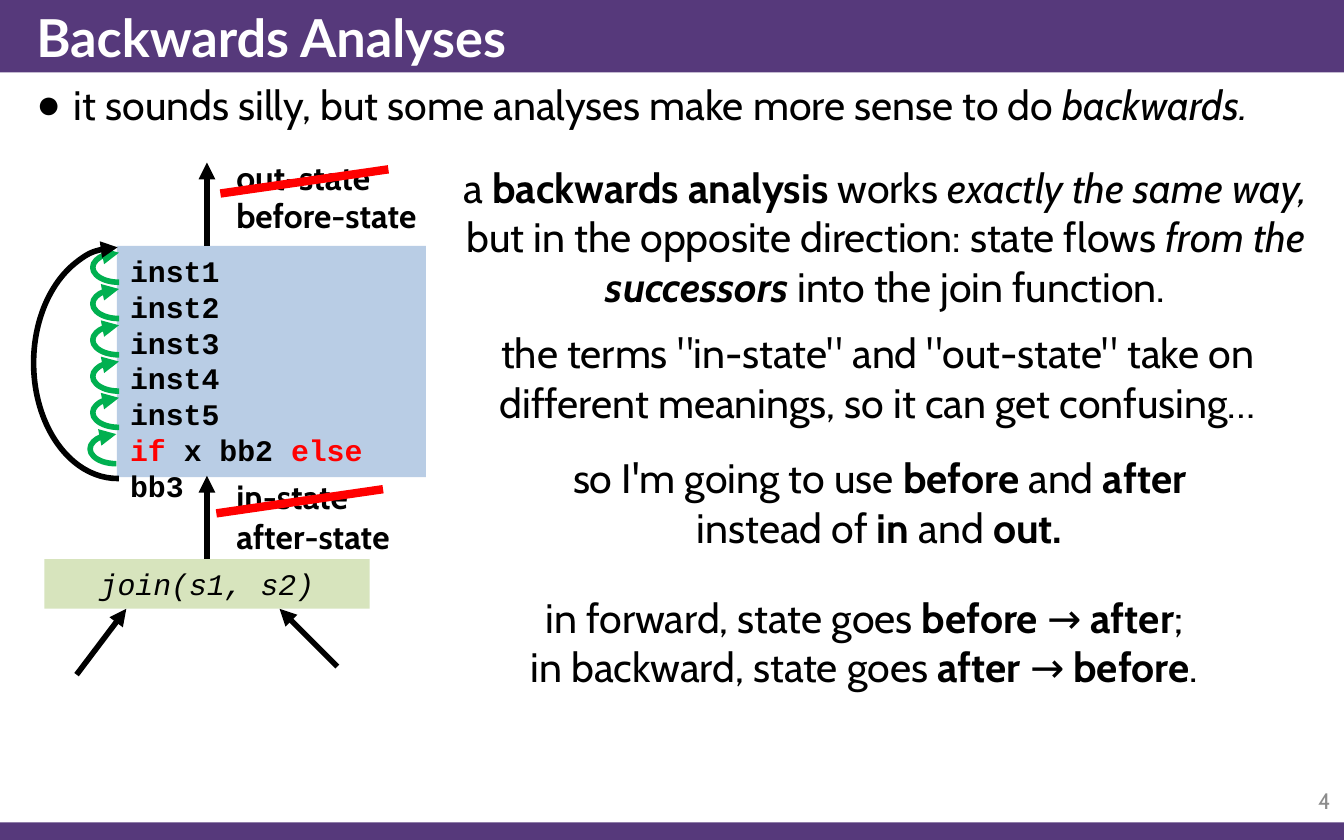
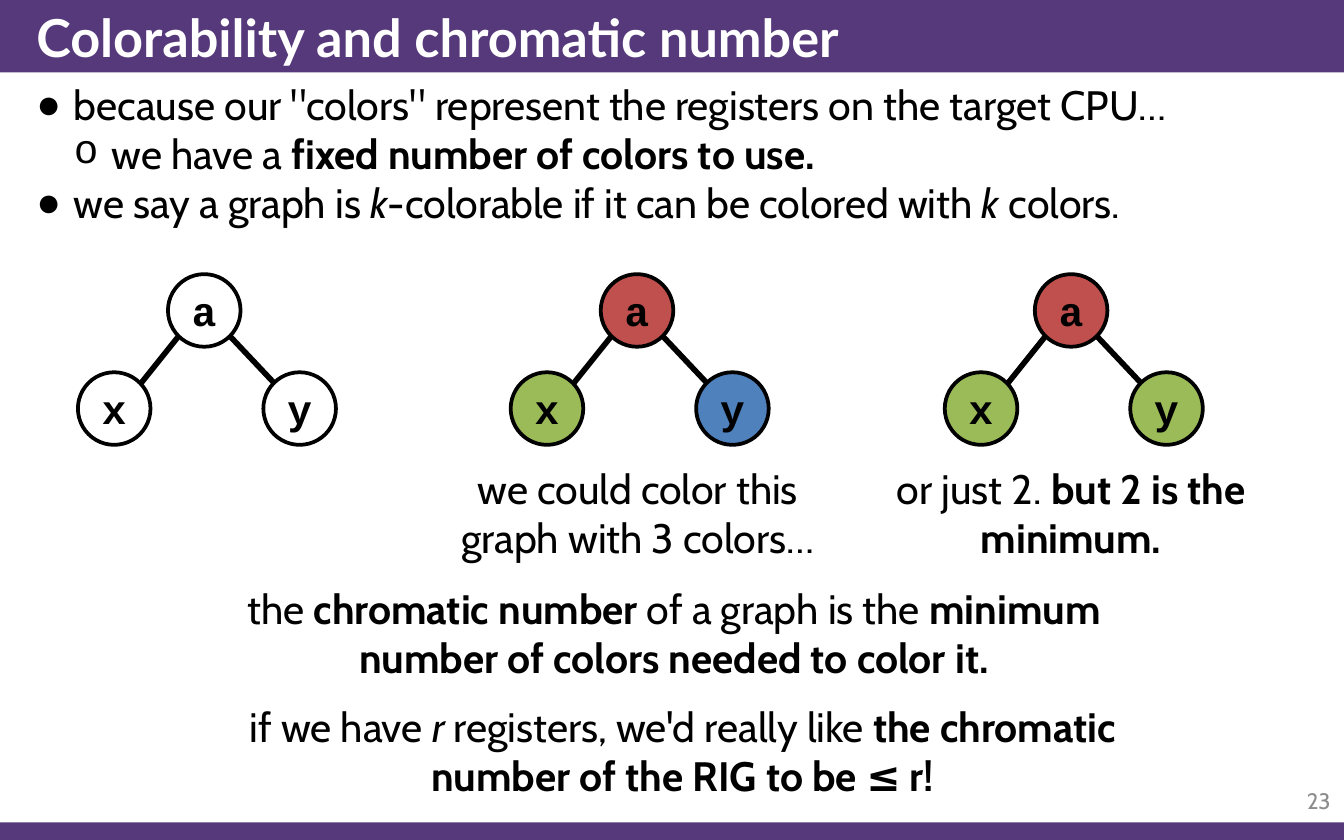
import pptx
import pptx.dml.color
import pptx.enum.shapes
import pptx.enum.text
import pptx.oxml
import pptx.oxml.ns
import pptx.util

SCALE = 9144
KINDS = pptx.enum.shapes.MSO_SHAPE
ALIGN = pptx.enum.text.PP_ALIGN
ANCHOR = pptx.enum.text.MSO_ANCHOR
COLORS = {
    "band": "56397B", "white": "FFFFFF", "black": "000000", "gray": "8C8C8C",
    "block": "B9CDE5", "join": "D7E4BD", "step": "00B050", "strike": "FF0000",
    "red": "C0504D", "green": "9BBB59", "blue": "4F81BD",
}
TITLE = {"name": "Lato", "size": 28, "bold": True, "color": "white"}
PROSE = {"name": "Cabin", "size": 22, "color": "black"}
LABEL = {**PROSE, "size": 18, "bold": True}
NUMBER = {**PROSE, "size": 12, "color": "gray"}
CODE = {"name": "Courier New", "size": 16, "color": "black", "bold": True}
CALL = {**CODE, "bold": False, "italic": True}
NODE = {**CODE, "size": 22}
MARKS = {
    "b": {"bold": True}, "i": {"italic": True},
    "bi": {"bold": True, "italic": True}, "key": {"color": "strike"},
}
BULLETS = [("●", "Arial"), ("o", "Courier New")]


def px(num):
    return pptx.util.Emu(num * SCALE)


def tint(name):
    return pptx.dml.color.RGBColor.from_string(COLORS[name])


class Deck:
    def __init__(self):
        self.show = pptx.Presentation()
        self.show.slide_width, self.show.slide_height = px(1000), px(625)
        self.slide = None
        self.shapes = None

    def start(self, title, number, points, height):
        first = self.slide is None
        self.slide = self.show.slides.add_slide(self.show.slide_layouts[1])
        self.shapes = self.slide.shapes
        if first:
            self.bands()
        head, body = self.slide.placeholders
        for holder, box in ((head, (17, 0, 983, 54)), (body, (17, 54, 983, height))):
            self.place(holder, box)
        self.fill_text(head, [title], TITLE, ALIGN.LEFT, ANCHOR.MIDDLE)
        self.fill_text(body, [line for level, line in points], PROSE, ALIGN.LEFT)
        for para, (level, line) in zip(body.text_frame.paragraphs, points):
            self.bullet(para, level)
        self.text((925, 579, 75, 33), [number], NUMBER, ALIGN.RIGHT, ANCHOR.MIDDLE)

    def bands(self):
        tree = self.show.slide_master.shapes._spTree
        for box in ((0, 0, 1000, 54), (0, 612, 1000, 13)):
            tree.insert(2, self.shape(KINDS.RECTANGLE, box, "band")._element)

    def group(self):
        self.shapes = self.slide.shapes.add_group_shape().shapes

    def loose(self):
        self.shapes = self.slide.shapes

    def place(self, item, box):
        for key, num in zip(("left", "top", "width", "height"), box):
            setattr(item, key, px(num))

    def bullet(self, para, level):
        mark, face = BULLETS[level]
        para.level = level
        props = para._p.get_or_add_pPr()
        props.set("marL", str(px(28 * (level + 1))))
        props.set("indent", str(px(-28)))
        for tag, key, val in (("buFont", "typeface", face), ("buChar", "char", mark)):
            node = pptx.oxml.parse_xml(f'<a:{tag} {pptx.oxml.ns.nsdecls("a")}/>')
            node.set(key, val)
            props.append(node)
        para.space_before = pptx.util.Pt(0)

    def style(self, font, look):
        for key, val in look.items():
            if key == "color":
                font.color.rgb = tint(val)
            else:
                setattr(font, key, pptx.util.Pt(val) if key == "size" else val)

    def fill_text(self, item, lines, look, align=ALIGN.CENTER, anchor=ANCHOR.TOP):
        frame = item.text_frame
        frame.auto_size = pptx.enum.text.MSO_AUTO_SIZE.NONE
        frame.word_wrap = True
        frame.vertical_anchor = anchor
        for spot, line in enumerate(lines):
            para = frame.add_paragraph() if spot else frame.paragraphs[0]
            para.alignment = align
            for part in [line] if isinstance(line, str) else line:
                words, mark = (part, None) if isinstance(part, str) else part
                run = para.add_run()
                run.text = words
                self.style(run.font, {**look, **MARKS.get(mark, {})})

    def text(self, box, lines, look=PROSE, align=ALIGN.CENTER, anchor=ANCHOR.TOP):
        item = self.shapes.add_textbox(*map(px, box))
        self.fill_text(item, lines, look, align, anchor)

    def shape(self, kind, box, fill=None, line=None, width=2):
        item = self.shapes.add_shape(kind, *map(px, box))
        item.shadow.inherit = False
        if fill:
            item.fill.solid()
            item.fill.fore_color.rgb = tint(fill)
        else:
            item.fill.background()
        if line:
            self.stroke(item, line, width)
        else:
            item.line.fill.background()
        return item

    def stroke(self, item, color, width, arrow=False):
        item.line.color.rgb = tint(color)
        item.line.width = pptx.util.Pt(width)
        if arrow:
            item.line._get_or_add_ln().append(pptx.oxml.parse_xml(
                f'<a:headEnd {pptx.oxml.ns.nsdecls("a")} type="triangle"/>'))

    def line(self, ends, color="black", width=3, arrow=False):
        item = self.shapes.add_connector(
            pptx.enum.shapes.MSO_CONNECTOR.STRAIGHT, *map(px, ends))
        self.stroke(item, color, width, arrow)
        item._element.spPr.append(pptx.oxml.parse_xml(
            f'<a:effectLst {pptx.oxml.ns.nsdecls("a")}/>'))
        return item

    def arc(self, box, color):
        item = self.shape(KINDS.ARC, box)
        item.adjustments[0], item.adjustments[1] = 162, 54.39
        item._element.spPr.find(pptx.oxml.ns.qn("a:xfrm")).set("flipH", "1")
        self.stroke(item, color, 3, True)

    def graph(self, left, fills):
        self.group()
        spots = (("a", 67, 204), ("x", 0, 277), ("y", 138, 277))
        for (name, shift, top), fill in zip(spots, fills):
            node = self.shape(KINDS.OVAL, (left + shift, top, 54, 54), fill, "black")
            self.fill_text(node, [name], NODE, anchor=ANCHOR.MIDDLE)
        for low, high in ((47, 75), (146, 113)):
            self.line((left + low, 285, left + high, 250))
        self.loose()


def backward(deck):
    deck.start("Backwards Analyses", "4", [
        (0, ["it sounds silly, but some analyses make more sense to do ",
             ("backwards.", "i")])], 54)
    deck.group()
    block = deck.shape(KINDS.RECTANGLE, (87, 183, 230, 172), "block")
    steps = [f"inst{num}" for num in range(1, 6)]
    branch = [("if ", "key"), "x bb2 ", ("else", "key"), " bb3"]
    deck.fill_text(block, steps + [branch], CODE, ALIGN.LEFT)
    join = deck.shape(KINDS.RECTANGLE, (33, 416, 242, 37), "join")
    deck.fill_text(join, ["join(s1, s2)"], CALL)
    for num in range(5):
        deck.arc((69, 188 + 27 * num, 39, 22), "step")
    deck.arc((67, 323, 39, 22), "step")
    deck.arc((25, 184, 125, 172), "black")
    for ends in ((154, 121, 154, 183), (208, 453, 251, 496), (94, 453, 57, 502)):
        deck.line(ends, arrow=True)
    deck.line((154, 354, 154, 416), arrow=True).end_connect(join, 0)
    deck.loose()
    for name, top, width in (("out-state", 112, 127), ("in-state", 349, 111),
                             ("before-state", 140, 166), ("after-state", 379, 144)):
        deck.text((166, top, width, 40), [name], LABEL, ALIGN.LEFT)
    for ends in ((164, 144, 289, 126), (161, 382, 285, 364)):
        deck.line(ends, "strike", 4.5)
    deck.text((333, 116, 652, 121), [[
        "a ", ("backwards analysis ", "b"), "works ", ("exactly the same way, ", "i"),
        "but in the opposite direction: state flows ", ("from the ", "i"),
        ("successors ", "bi"), "into the join function."]])
    deck.text((309, 239, 688, 84), [
        'the terms "in-state" and "out-state" take on different meanings, '
        "so it can get confusing…"])
    deck.text((387, 332, 535, 84), [[
        "so I'm going to use ", ("before ", "b"), "and ", ("after ", "b"),
        "instead of ", ("in", "b"), " and ", ("out.", "b")]])
    deck.text((334, 436, 618, 84), [
        ["in forward, state goes ", ("before", "b"), " → ", ("after", "b"), ";"],
        ["in backward, state goes ", ("after", "b"), " → ", ("before", "b"), "."]])


def chromatic(deck):
    deck.start("Colorability and chromatic number", "23", [
        (0, 'because our "colors" represent the registers on the target CPU…'),
        (1, ["we have a ", ("fixed number of colors to use.", "b")]),
        (0, ["we say a graph is ", ("k", "i"), "-colorable if it can be colored with ",
             ("k ", "i"), "colors."])], 133)
    fills = ((None, None, None), ("red", "green", "blue"), ("red", "green", "green"))
    for num, trio in enumerate(fills):
        deck.graph(58 + num * 322 + num // 2, trio)
    deck.text((315, 340, 319, 84), ["we could color this graph with 3 colors…"])
    deck.text((655, 340, 284, 84), [["or just 2. ", ("but 2 is the minimum.", "b")]])
    deck.text((154, 429, 695, 84), [[
        "the ", ("chromatic number ", "b"), "of a graph is the ",
        ("minimum number of colors needed to color it.", "b")]])
    deck.text((175, 517, 666, 84), [[
        "if we have ", ("r", "i"), " registers, we'd really like ",
        ("the chromatic number of the RIG to be ≤ r!", "b")]])


def main():
    deck = Deck()
    backward(deck)
    chromatic(deck)
    deck.show.save("out.pptx")


if __name__ == "__main__":
    main()
